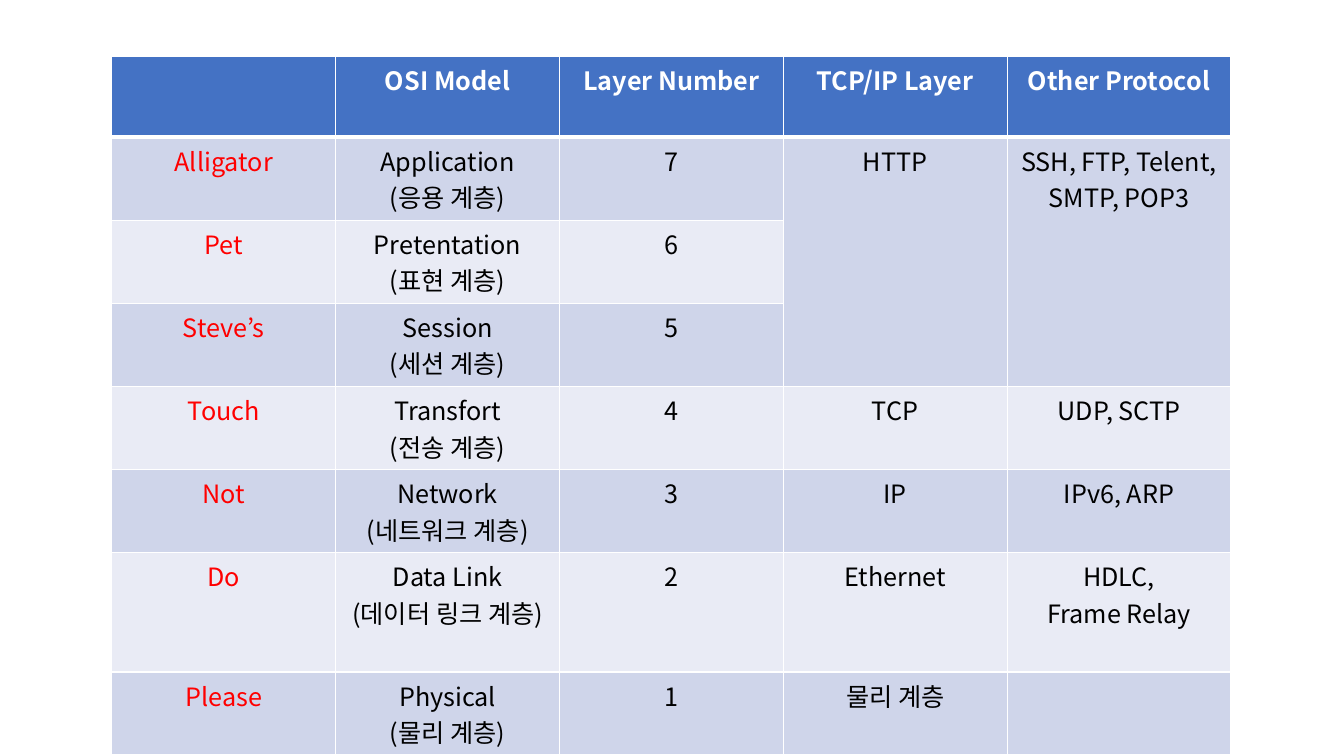
import pptx
import pptx.util
import pptx.dml.color
import pptx.enum.text
import pptx.oxml.ns
import lxml.etree

Inches = pptx.util.Inches
THEME = {
    "font": "Noto Sans CJK KR",
    "size": 18,
    "header": "4472C4",
    "bands": ("CFD5EA", "E9EBF5"),
    "header_text": "FFFFFF",
    "mnemonic_text": "FF0000",
    "body_text": "000000",
    "border": "FFFFFF",
}

HEADINGS = ("", "OSI Model", "Layer Number", "TCP/IP Layer", "Other Protocol")
# Mnemonic, OSI layer, TCP/IP layer, other protocols; numbered from 7 down
LAYERS = (
    ("Alligator", "Application\n(응용 계층)", "HTTP", "SSH, FTP, Telent, SMTP, POP3"),
    ("Pet", "Pretentation\n(표현 계층)", "", ""),
    ("Steve’s", "Session\n(세션 계층)", "", ""),
    ("Touch", "Transfort\n(전송 계층)", "TCP", "UDP, SCTP"),
    ("Not", "Network\n(네트워크 계층)", "IP", "IPv6, ARP"),
    ("Do", "Data Link\n(데이터 링크 계층)", "Ethernet", "HDLC,\nFrame Relay"),
    ("Please", "Physical\n(물리 계층)", "물리 계층", ""),
)


def add_borders(cell, top, bottom):
    properties = cell._tc.get_or_add_tcPr()
    for side, points in (("L", 1), ("R", 1), ("T", top), ("B", bottom)):
        line = lxml.etree.SubElement(
            properties, pptx.oxml.ns.qn(f"a:ln{side}"), w=str(pptx.util.Pt(points)))
        fill = lxml.etree.SubElement(line, pptx.oxml.ns.qn("a:solidFill"))
        lxml.etree.SubElement(fill, pptx.oxml.ns.qn("a:srgbClr"), val=THEME["border"])


def write_text(cell, text, color, bold):
    paragraph = cell.text_frame.paragraphs[0]
    paragraph.alignment = pptx.enum.text.PP_ALIGN.CENTER
    for index, line in enumerate(text.split("\n") if text else ()):
        if index:
            paragraph.add_line_break()
        run = paragraph.add_run()
        run.text = line
        run.font.name = THEME["font"]
        run.font.size = pptx.util.Pt(THEME["size"])
        run.font.bold = bold
        run.font.color.rgb = pptx.dml.color.RGBColor.from_string(color)
        # Korean text takes the East Asian typeface
        lxml.etree.SubElement(
            run.font._element, pptx.oxml.ns.qn("a:ea"), typeface=THEME["font"])


presentation = pptx.Presentation()
presentation.slide_width = Inches(13.33)
presentation.slide_height = Inches(7.5)
slide = presentation.slides.add_slide(presentation.slide_layouts[6])

# Table of network layers
rows = [HEADINGS]
for index, (mnemonic, osi, tcp_ip, other) in enumerate(LAYERS):
    rows.append((mnemonic, osi, str(len(LAYERS) - index), tcp_ip, other))
table = slide.shapes.add_table(
    len(rows), len(HEADINGS), Inches(1.11), Inches(0.56),
    Inches(11.11), Inches(6.38)).table
for column in table.columns:
    column.width = Inches(2.22)
for row in table.rows:
    row.height = Inches(0.8)

# Cell borders, fills and text
for row_index, texts in enumerate(rows):
    is_header = row_index == 0
    for column_index, text in enumerate(texts):
        cell = table.cell(row_index, column_index)
        add_borders(cell, 3 if row_index == 1 else 1, 3 if is_header else 1)
        if is_header:
            fill_color, text_color = THEME["header"], THEME["header_text"]
        else:
            fill_color = THEME["bands"][(row_index - 1) % 2]
            text_color = THEME["body_text" if column_index else "mnemonic_text"]
        cell.fill.solid()
        cell.fill.fore_color.rgb = pptx.dml.color.RGBColor.from_string(fill_color)
        write_text(cell, text, text_color, is_header)

# The top three layers share their protocol cells
for column_index in (3, 4):
    table.cell(1, column_index).merge(table.cell(3, column_index))

presentation.save("out.pptx")
